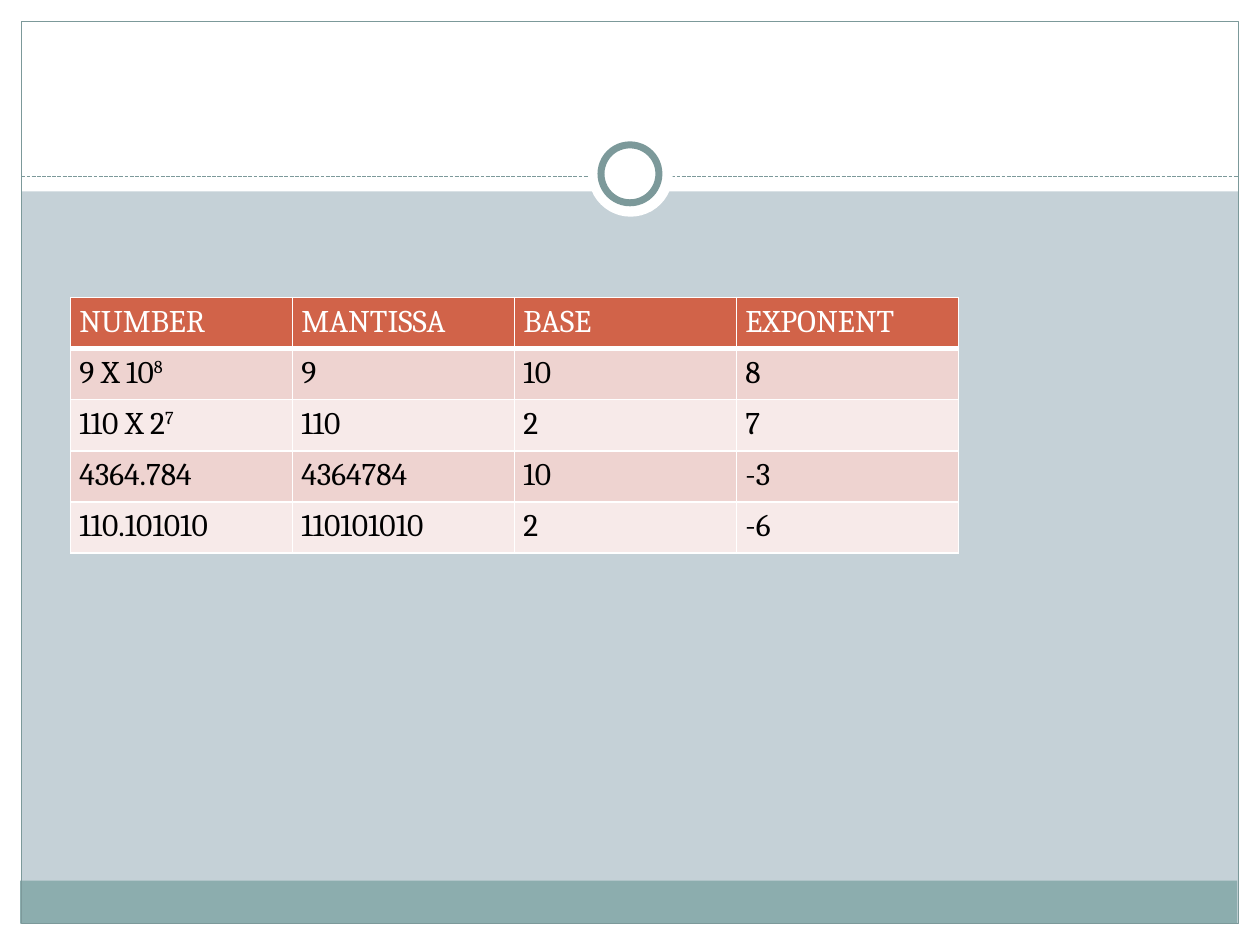
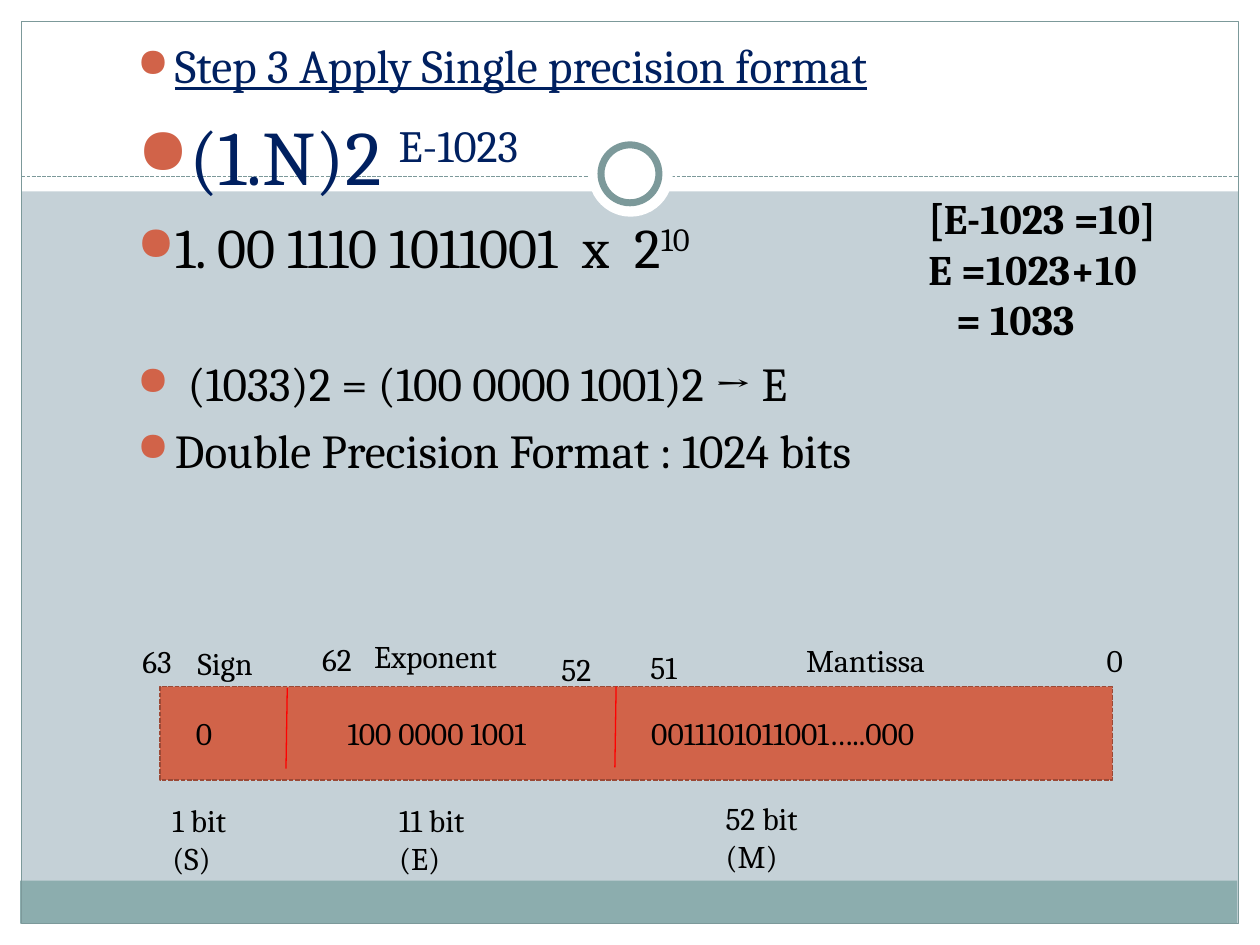
from lxml import etree
from pptx import Presentation
from pptx.dml.color import RGBColor
from pptx.enum.dml import MSO_LINE_DASH_STYLE as Dash
from pptx.enum.shapes import MSO_CONNECTOR as Link, MSO_SHAPE as Shape
from pptx.enum.text import PP_ALIGN as Align
from pptx.oxml.ns import qn
from pptx.util import Inches, Pt

WHITE = RGBColor(0xFF, 0xFF, 0xFF)
BLACK = RGBColor(0, 0, 0)
PALE = RGBColor(0xC5, 0xD1, 0xD7)
TEAL = RGBColor(0x8C, 0xAD, 0xAE)
EDGE = RGBColor(0x7C, 0x99, 0x9A)
RUST = RGBColor(0xD1, 0x63, 0x49)
BROWN = RGBColor(0x9B, 0x49, 0x36)
RED = RGBColor(0xFF, 0, 0)
NAVY = RGBColor(0, 0x20, 0x60)
ROSE = RGBColor(0xEE, 0xD3, 0xD0)
BLUSH = RGBColor(0xF7, 0xEA, 0xE9)
FONT = "Cambria"
COLS, ROWS = 100, 75


def node(parent, tag, **attrs):
    return etree.SubElement(parent, qn(tag), **attrs)


class Deck:
    def __init__(self):
        self.prs = Presentation()
        self.prs.slide_width = Inches(10)
        self.prs.slide_height = Inches(7.5)
        self.slide = None

    def grid(self, *spots):
        units = self.prs.slide_width / COLS, self.prs.slide_height / ROWS
        return [round(spot * units[i % 2]) for i, spot in enumerate(spots)]

    def page(self):
        self.slide = self.prs.slides.add_slide(self.prs.slide_layouts[6])
        back = self.slide.background.fill
        back.solid()
        back.fore_color.rgb = PALE
        for band in ((0, 73.3, 100, 1.7), (0, 0, 100, 15.2),
                     (0, 0, 1.7, 75), (98.3, 0, 1.7, 75)):
            self.shape(band, WHITE)
        self.shape((1.6, 69.9, 96.6, 3.4), TEAL)
        self.shape((1.7, 1.7, 96.6, 71.6), None, EDGE)
        self.line((1.7, 14, 98.3, 14), EDGE, Dash.SQUARE_DOT)
        self.shape((46.7, 10.5, 6.7, 6.7), WHITE, kind=Shape.OVAL)
        self.shape((47.7, 11.5, 4.6, 4.6), WHITE, EDGE, 4, kind=Shape.OVAL)

    def pen(self, line, color, width, dash):
        line.color.rgb = color
        line.width = Pt(width)
        if dash:
            line.dash_style = dash

    def shape(self, box, fill, edge=None, width=0.75, dash=None,
              kind=Shape.RECTANGLE):
        item = self.slide.shapes.add_shape(kind, *self.grid(*box))
        item.shadow.inherit = False
        if fill is None:
            item.fill.background()
        else:
            item.fill.solid()
            item.fill.fore_color.rgb = fill
        if edge is None:
            item.line.fill.background()
        else:
            self.pen(item.line, edge, width, dash)

    def line(self, ends, color, dash=None):
        item = self.slide.shapes.add_connector(Link.STRAIGHT, *self.grid(*ends))
        self.pen(item.line, color, 0.75, dash)
        node(item._element.spPr, "a:effectLst")

    def run(self, para, text, size=18, color=BLACK, bold=False, line=False,
            high=False):
        item = para.add_run()
        item.text = text
        font = item.font
        font.name, font.size, font.bold = FONT, Pt(size), bold
        font.underline = line
        font.color.rgb = color
        if high:
            item._r.get_or_add_rPr().set("baseline", "30000")

    def frame(self, box):
        frame = self.slide.shapes.add_textbox(*self.grid(*box)).text_frame
        frame.word_wrap = True
        return frame

    def para(self, frame, first):
        return frame.paragraphs[0] if first else frame.add_paragraph()

    def label(self, box, text, align=Align.LEFT):
        para = self.frame(box).paragraphs[0]
        para.alignment = align
        self.run(para, text)

    def note(self, box, rows, size):
        frame = self.frame(box)
        for i, (text, indent) in enumerate(rows):
            para = self.para(frame, i == 0)
            para._p.get_or_add_pPr().set("marL", str(Inches(indent)))
            self.run(para, text, size, bold=True)

    def list(self, box, items):
        frame = self.frame(box)
        for i, (gap, indent, runs) in enumerate(items):
            para = self.para(frame, i == 0)
            props = para._p.get_or_add_pPr()
            props.set("marL", str(Inches(indent)))
            props.set("indent", str(-Inches(indent)))
            node(node(props, "a:buClr"), "a:srgbClr", val=str(RUST))
            node(props, "a:buSzPct", val="85000")
            node(props, "a:buChar", char="●")
            if i:
                para.space_before = Pt(gap)
            for text, style in runs:
                self.run(para, text, **style)

    def table(self, box, rows):
        table = self.slide.shapes.add_table(
            len(rows), len(rows[0]), *self.grid(*box)).table
        for r, row in enumerate(rows):
            fill = RUST if r == 0 else (BLUSH, ROSE)[r % 2]
            for c, text in enumerate(row):
                self.cell(table.cell(r, c), text, fill, r)

    def cell(self, cell, text, fill, row):
        cell.margin_left = cell.margin_right = Inches(0.07)
        cell.margin_top = cell.margin_bottom = Inches(0.05)
        props = cell._tc.get_or_add_tcPr()
        for side in "LRTB":
            thick = row == 0 and side == "B" or row == 1 and side == "T"
            edge = node(props, f"a:ln{side}", w=str(Pt(3 if thick else 1)))
            node(node(edge, "a:solidFill"), "a:srgbClr", val=str(WHITE))
        cell.fill.solid()
        cell.fill.fore_color.rgb = fill
        base, _, power = text.partition("^")
        para = cell.text_frame.paragraphs[0]
        color = BLACK if row else WHITE
        self.run(para, base, color=color)
        if power:
            self.run(para, power, color=color, high=True)

    def save(self):
        self.prs.save("out.pptx")


def parts(deck):
    deck.page()
    deck.table((5.6, 23.6, 70.5, 20.3), [
        ("NUMBER", "MANTISSA", "BASE", "EXPONENT"),
        ("9 X 10^8", "9", "10", "8"),
        ("110 X 2^7", "110", "2", "7"),
        ("4364.784", "4364784", "10", "-3"),
        ("110.101010", "110101010", "2", "-6"),
    ])


def format_bits(deck):
    deck.page()
    body, large = dict(size=27), dict(size=32)
    power = dict(size=44, color=NAVY)
    deck.list((9.9, 2.4, 77.9, 45.6), [
        (0, 0.3, [("Step 3 Apply Single precision format",
                   dict(size=27, color=NAVY, line=True))]),
        (8.8, 0.4, [("(1.N)2 ", power), ("E-1023", dict(power, high=True))]),
        (6.4, 0.3, [("1. 00 1110 1011001  x  2", large),
                    ("10", dict(large, high=True))]),
        (43, 0.4, [("(1033)2 = (100 0000 1001)2 → E", body)]),
        (5.4, 0.3, [("Double Precision Format : 1024 bits", body)]),
    ])
    deck.note((72.7, 14.8, 27, 21.2), [
        ("[E-1023 =10]", 0), ("E =1023+10", 0), ("= 1033", 0.22)], 24)
    deck.shape((12.7, 54.5, 75.6, 7.4), RUST, BROWN, 0.9, Dash.SQUARE_DOT)
    for x, y in ((22.8, 54.6), (48.9, 54.5)):
        deck.line((x, y, x - 0.1, y + 6.4), RED)
    for x, y, text in ((12.7, 63.1, "1 bit (S)"), (30.7, 63.1, "11 bit (E)"),
                       (56.6, 62.9, "52 bit (M)")):
        deck.label((x, y, 9.2, 7.1), text)
    for x, y, w, text in ((4.7, 50.5, 9.9, "63"), (21.4, 50.3, 7.5, "62"),
                          (41.4, 51.1, 6.5, "52"), (48, 50.9, 6.7, "51"),
                          (86.4, 50.4, 3.7, "0")):
        deck.label((x, y, w, 4), text, Align.RIGHT)
    for x, y, w, text in ((14.7, 50.6, 9.2, "Sign"),
                          (28.7, 50.1, 14.2, "Exponent"),
                          (63, 50.4, 15.1, "Mantissa"),
                          (26.6, 56.2, 33.9, "100 0000 1001"),
                          (50.7, 56.2, 33.9, "0011101011001…..000")):
        deck.label((x, y, w, 4), text)
    deck.label((13.5, 56.2, 5.4, 4), "0", Align.CENTER)


def main():
    deck = Deck()
    parts(deck)
    format_bits(deck)
    deck.save()


if __name__ == "__main__":
    main()
